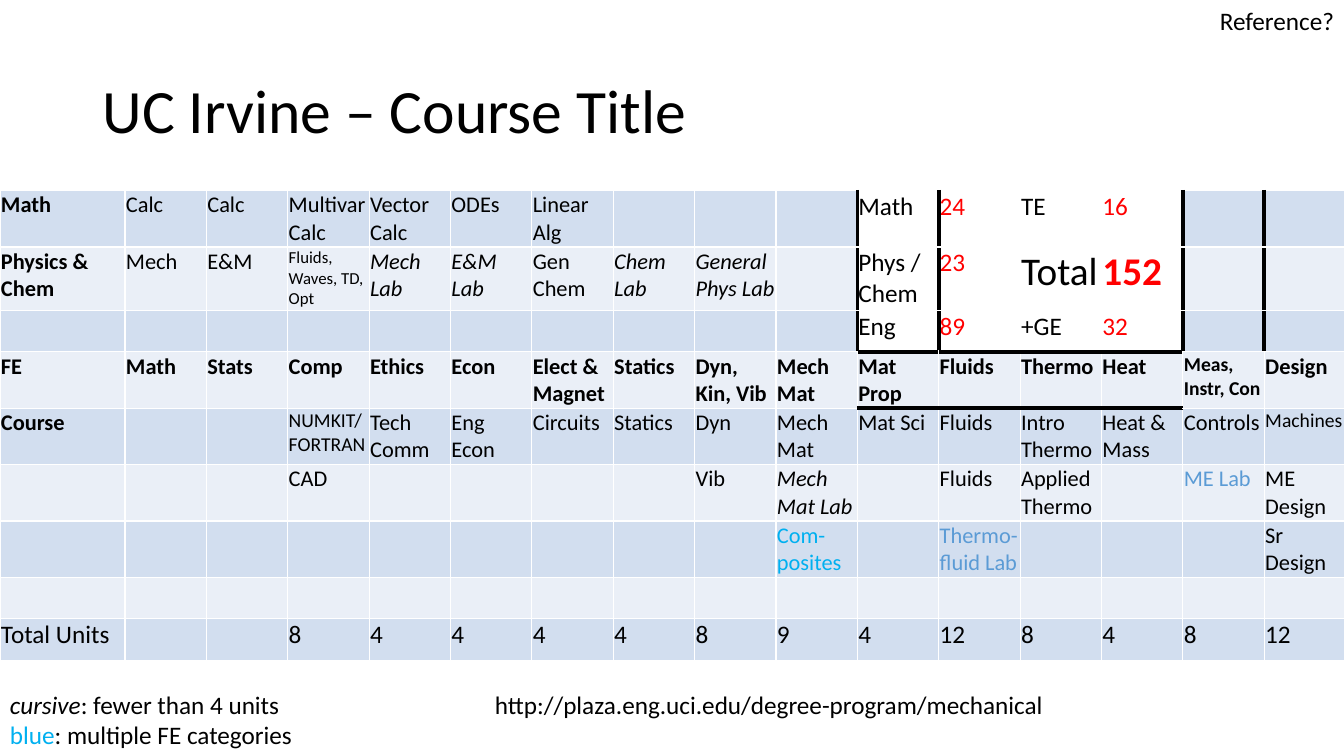
from dataclasses import dataclass

from lxml import etree
from pptx import Presentation
from pptx import util as u
from pptx.dml.color import RGBColor
from pptx.enum import text
from pptx.oxml import ns


@dataclass(frozen=True)
class Theme:
    """Colours, font and type sizes of the slide."""
    font: str = "Calibri"
    black: str = "000000"
    white: str = "FFFFFF"
    red: str = "FF0000"
    sky: str = "00B0F0"
    steel: str = "5B9BD5"
    bands: tuple = ("D2DEEF", "EAEFF7")
    title: int = 44
    total: int = 28
    body: int = 18
    course: int = 16
    small: int = 14
    tiny: int = 12
    thin: int = 1
    thick: int = 3


class SlideBuilder:
    """Holds the theme and the current slide."""

    def __init__(self, slide, theme):
        self.slide = slide
        self.theme = theme

    def style(self, font, size=None, color=None, bold=False, italic=False):
        """Apply type settings to a paragraph or run font."""
        font.name = self.theme.font
        font.size = u.Pt(size or self.theme.body)
        font.color.rgb = RGBColor.from_string(color or self.theme.black)
        font.bold = bold
        font.italic = italic

    def label(self, box, lines, size=None, wrap=False, anchor=text.MSO_ANCHOR.TOP):
        """Add a text box; each line is a list of (words, run style) pairs."""
        frame = self.slide.shapes.add_textbox(*map(u.Inches, box)).text_frame
        frame.word_wrap = wrap
        frame.vertical_anchor = anchor
        for index, runs in enumerate(lines):
            paragraph = frame.add_paragraph() if index else frame.paragraphs[0]
            self.style(paragraph.font, size)
            for words, run_style in runs:
                run = paragraph.add_run()
                run.text = words
                if run_style:
                    self.style(run.font, size, **run_style)
        return frame

    def border(self, cell, side, heavy):
        """Draw one cell edge, side being L, R, T or B."""
        theme = self.theme
        properties = cell._tc.get_or_add_tcPr()
        width = u.Pt(theme.thick if heavy else theme.thin)
        line = etree.Element(ns.qn(f"a:ln{side}"), w=str(int(width)))
        fill = etree.SubElement(line, ns.qn("a:solidFill"))
        etree.SubElement(fill, ns.qn("a:srgbClr"), val=theme.black if heavy else theme.white)
        properties.insert("LRTB".index(side), line)

    def table(self, left, top, widths, heights, rows, cell_style, cell_fill, heavy_edges):
        """Add a table whose looks follow the given rules."""
        table = self.slide.shapes.add_table(
            len(rows), len(widths), u.Inches(left), u.Inches(top),
            u.Inches(sum(widths)), u.Inches(sum(heights))).table
        table.first_row = table.horz_banding = False
        for column, width in zip(table.columns, widths):
            column.width = u.Inches(width)
        for r, (row, height) in enumerate(zip(rows, heights)):
            table.rows[r].height = u.Inches(height)
            for c, words in enumerate(row):
                cell = table.cell(r, c)
                cell.margin_left = cell.margin_right = u.Inches(0.01)
                cell.margin_top = cell.margin_bottom = u.Inches(0.01)
                cell.fill.solid()
                cell.fill.fore_color.rgb = RGBColor.from_string(cell_fill(r, c))
                cell.text = words
                for paragraph in cell.text_frame.paragraphs:
                    self.style(paragraph.font, **cell_style(r, c))
                edges = {"L": ("v", r, c), "R": ("v", r, c + 1),
                         "T": ("h", r, c), "B": ("h", r + 1, c)}
                for side, edge in edges.items():
                    self.border(cell, side, edge in heavy_edges)


THEME = Theme()
CURRICULUM = [row.split("|") for row in (
    "Math|Calc|Calc|Multivar Calc|Vector Calc|ODEs|Linear Alg||||Math|24|TE|16||",
    "Physics & Chem|Mech|E&M|Fluids, Waves, TD, Opt|Mech Lab|E&M Lab|Gen Chem|Chem Lab"
    "|General Phys Lab||Phys / Chem|23|Total|152||",
    "||||||||||Eng|89|+GE|32||",
    "FE|Math|Stats|Comp|Ethics|Econ|Elect & Magnet|Statics|Dyn, Kin, Vib|Mech Mat"
    "|Mat Prop|Fluids|Thermo|Heat|Meas, Instr, Con|Design",
    "Course|||NUMKIT/FORTRAN|Tech Comm|Eng Econ|Circuits|Statics|Dyn|Mech Mat"
    "|Mat Sci|Fluids|Intro Thermo|Heat & Mass|Controls|Machines",
    "|||CAD|||||Vib|Mech Mat Lab||Fluids|Applied Thermo||ME Lab|ME Design",
    "|||||||||Com-\nposites||Thermo-fluid Lab||||Sr Design",
    "|||||||||||||||",
    "Total Units|||8|4|4|4|4|8|9|4|12|8|4|8|12",
)]
FE_ROW, UNITS_ROW = 3, 8
SUMMARY_ROWS, SUMMARY_COLUMNS = range(3), range(10, 14)
SHORT_LABS = {(1, 4), (1, 5), (1, 7), (1, 8), (5, 9)}
SIZES = {(1, 3): THEME.tiny, (3, 14): THEME.small, (4, 3): THEME.small,
         (4, 15): THEME.small, (1, 12): THEME.total, (1, 13): THEME.total}
SHARED_COURSES = {(5, 14): THEME.steel, (6, 9): THEME.sky, (6, 11): THEME.steel}
HEAVY_EDGES = ({("v", r, c) for r in SUMMARY_ROWS for c in (10, 11, 14, 15)}
               | {("h", r, c) for r in (FE_ROW, FE_ROW + 1) for c in SUMMARY_COLUMNS})


def in_summary(r, c):
    """Tell whether a cell belongs to the unit summary."""
    return r in SUMMARY_ROWS and c in SUMMARY_COLUMNS


def course_style(r, c):
    """Give the type settings of a table cell."""
    summary = in_summary(r, c)
    size = THEME.body if summary or r == UNITS_ROW else THEME.course
    color = THEME.red if summary and c in (11, 13) else SHARED_COURSES.get((r, c))
    heading = r == FE_ROW or (c == 0 and r < UNITS_ROW)
    return dict(size=SIZES.get((r, c), size), color=color,
                bold=heading or (r, c) == (1, 13), italic=(r, c) in SHORT_LABS)


def course_fill(r, c):
    """Give the fill of a table cell: white summary, banded rows elsewhere."""
    return THEME.white if in_summary(r, c) else THEME.bands[r % 2]


def main():
    """Build the slide and save it."""
    deck = Presentation()
    deck.slide_width, deck.slide_height = u.Inches(13.33), u.Inches(7.5)
    builder = SlideBuilder(deck.slides.add_slide(deck.slide_layouts[6]), THEME)

    heading = builder.label((0.92, 0.4, 11.5, 1.45), [[("UC Irvine – Course Title", None)]],
                            THEME.title, wrap=True, anchor=text.MSO_ANCHOR.MIDDLE)
    heading.paragraphs[0].line_spacing = 0.9

    label_width, table_width = 1.24, 13.35
    course_columns = len(CURRICULUM[0]) - 1
    widths = [label_width] + [(table_width - label_width) / course_columns] * course_columns
    heights = [0.56, 0.63, 0.41] + [0.56] * 4 + [0.41] * 2
    builder.table(0, 1.89, widths, heights, CURRICULUM, course_style, course_fill, HEAVY_EDGES)

    builder.label((0, 6.79, 3.04, 0.71), [
        [("cursive", dict(italic=True)), (": fewer than 4 units", None)],
        [("blue", dict(color=THEME.sky)), (": multiple FE categories", None)]])
    builder.label((4.81, 6.79, 5.71, 0.4),
                  [[("http://plaza.eng.uci.edu/degree-program/mechanical", None)]])
    builder.label((12, 0, 1.36, 0.4), [[("Reference?", None)]])
    deck.save("out.pptx")


main()
